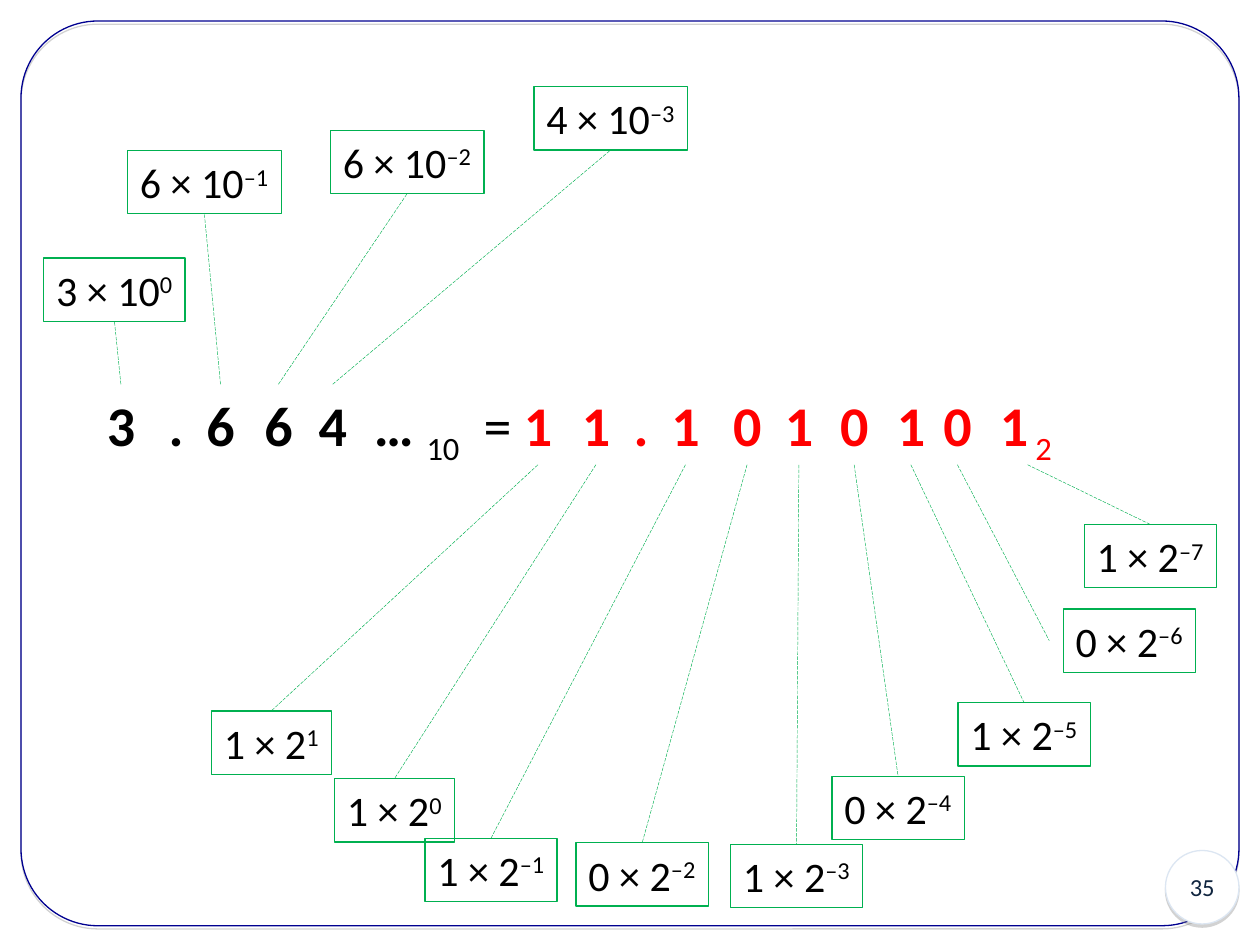
"""Build a slide that expands a decimal and a binary number digit by digit."""
from lxml import etree
from pptx import Presentation
from pptx import util as u
from pptx.dml.color import RGBColor
from pptx.enum import dml, shapes, text
from pptx.oxml.ns import qn

COLOURS = {"frame": "000090", "badge": "FFFFFF", "rim": "DCE6F2", "number": "10253F",
           "green": "00B050", "black": "000000", "red": "FF0000", "shadow": "808080"}
FONT = "Calibri"
ROW_TOP, ROW_HEIGHT, DIGIT_WIDTH, POINT_WIDTH = 219.6, 46, 30.2, 23
LABEL_HEIGHT, SIDE_GAP = 36.2, 8
LABEL_WIDTHS = {("10", False): 80.8, ("10", True): 87.8,
                ("2", False): 68.6, ("2", True): 75.6}

# text, subscript, left, width, colour, bold
SYMBOLS = [
    (".", "", 89.3, POINT_WIDTH, "black", True),
    ("… ", "10", 206.6, 63.4, "black", True),
    ("=", "", 269.3, DIGIT_WIDTH, "black", False),
    (".", "", 355, POINT_WIDTH, "red", True),
]
# digit, subscript, left, width, base, exponent, label left, label top
DIGITS = [
    ("3", "", 54, DIGIT_WIDTH, "10", "0", 25, 147.4),
    ("6", "", 110.9, DIGIT_WIDTH, "10", "–1", 72.9, 86),
    ("6", "", 144, DIGIT_WIDTH, "10", "–2", 188.8, 74.4),
    ("4", "", 175, DIGIT_WIDTH, "10", "–3", 305.1, 49.5),
    ("1", "", 292.3, DIGIT_WIDTH, "2", "1", 120.8, 406.2),
    ("1", "", 325.4, DIGIT_WIDTH, "2", "0", 191.1, 445),
    ("1", "", 376.6, DIGIT_WIDTH, "2", "–1", 242.8, 479),
    ("0", "", 411.8, DIGIT_WIDTH, "2", "–2", 329.2, 481.6),
    ("1", "", 441.4, DIGIT_WIDTH, "2", "–3", 417.4, 482.4),
    ("0", "", 473, DIGIT_WIDTH, "2", "–4", 475.4, 443.6),
    ("1", "", 505.4, DIGIT_WIDTH, "2", "–5", 547.4, 401.5),
    ("0", "", 532, DIGIT_WIDTH, "2", "–6", 607.6, 348),
    ("1", " 2", 564.2, 46, "2", "–7", 619.5, 299.7),
]
SIDE_LABELS = {("2", "–6")}


def rgb(name):
    return RGBColor.from_string(COLOURS[name])


def write(box, spans, size, colour):
    """Write (text, bold, baseline) spans into one paragraph."""
    para = box.text_frame.paragraphs[0]
    for words, bold, baseline in spans:
        span = para.add_run()
        span.text = words
        for key, value in {"name": FONT, "size": u.Pt(size), "bold": bold}.items():
            setattr(span.font, key, value)
        span.font.color.rgb = rgb(colour)
        if baseline:
            span.font._element.set("baseline", str(baseline * 1000))
    return para


def add_box(page, left, top, width, height, spans, size, colour):
    box = page.shapes.add_textbox(*map(u.Pt, (left, top, width, height)))
    settings = {"word_wrap": False, "auto_size": text.MSO_AUTO_SIZE.SHAPE_TO_FIT_TEXT}
    for key, value in settings.items():
        setattr(box.text_frame, key, value)
    write(box, spans, size, colour)
    return box


def add_symbol(page, words, subscript, left, width, colour, bold):
    spans = [(words, bold, 0)]
    if subscript:
        spans.append((subscript, False, -25))
    add_box(page, left, ROW_TOP, width, ROW_HEIGHT, spans, 32, colour)


def add_link(page, start, end):
    link = page.shapes.add_connector(shapes.MSO_CONNECTOR.STRAIGHT,
                                     *map(u.Pt, (*start, *end)))
    link.line.color.rgb = rgb("green")
    link.line.width = u.Pt(0.25)
    link.line.dash_style = dml.MSO_LINE.LONG_DASH
    etree.SubElement(link._element.spPr, qn("a:effectLst"))


def add_digit(page, digit, subscript, left, width, base, exponent, label_left, label_top):
    """Add a digit, its place-value label and the link between them."""
    add_symbol(page, digit, subscript, left, width, "black" if base == "10" else "red", True)
    label_width = LABEL_WIDTHS[base, exponent.startswith("–")]
    label = add_box(page, label_left, label_top, label_width, LABEL_HEIGHT,
                    [(f"{digit} × {base}", False, 0), (exponent, False, 30)], 24, "black")
    label.line.color.rgb = rgb("green")
    label.line.width = u.Pt(0.75)

    above = label_top < ROW_TOP
    start = (left + width / 2, ROW_TOP if above else ROW_TOP + ROW_HEIGHT)
    end = (label_left + label_width / 2, label_top + LABEL_HEIGHT if above else label_top)
    if (base, exponent) in SIDE_LABELS:
        end = (label_left - SIDE_GAP, label_top + LABEL_HEIGHT / 2)
    add_link(page, start, end)


def add_panel(page, kind, left, top, width, height, line):
    """Add an outlined shape with a soft drop shadow."""
    panel = page.shapes.add_shape(kind, *map(u.Pt, (left, top, width, height)))
    panel.line.color.rgb = rgb(line)
    panel.line.width = u.Pt(0.75)
    panel.shadow.inherit = False
    effects = panel._element.spPr.find(qn("a:effectLst"))
    shadow = etree.SubElement(effects, qn("a:outerShdw"), blurRad="0",
                              dist=str(u.Pt(1.8)), dir="5400000", rotWithShape="0")
    tint = etree.SubElement(shadow, qn("a:srgbClr"), val=COLOURS["shadow"])
    etree.SubElement(tint, qn("a:alpha"), val="35000")
    return panel


def main():
    deck = Presentation()
    deck.slide_width, deck.slide_height = u.Pt(720), u.Pt(540)
    page = deck.slides.add_slide(deck.slide_layouts[6])

    frame = add_panel(page, shapes.MSO_SHAPE.ROUNDED_RECTANGLE, 12, 12, 696, 517, "frame")
    frame.adjustments[0] = 0.085
    frame.fill.background()

    badge = add_panel(page, shapes.MSO_SHAPE.OVAL, 666, 486, 42, 42, "rim")
    badge.fill.solid()
    badge.fill.fore_color.rgb = rgb("badge")
    badge.text_frame.vertical_anchor = text.MSO_ANCHOR.MIDDLE
    write(badge, [("35", False, 0)], 14, "number").alignment = text.PP_ALIGN.CENTER

    for symbol in SYMBOLS:
        add_symbol(page, *symbol)
    for digit in DIGITS:
        add_digit(page, *digit)
    deck.save("out.pptx")


if __name__ == "__main__":
    main()
